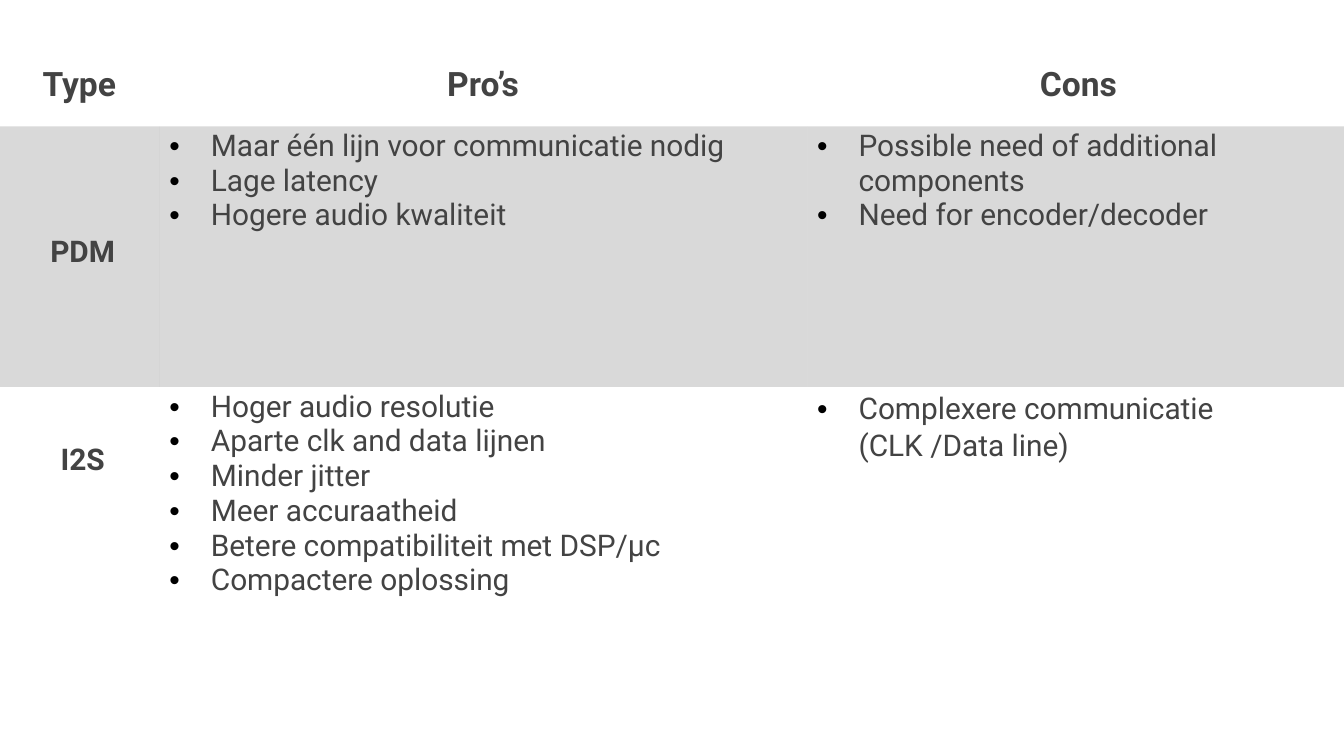
from copy import deepcopy

from lxml.etree import SubElement
from pptx import Presentation
from pptx.dml.color import RGBColor
from pptx.enum.text import MSO_ANCHOR, PP_ALIGN
from pptx.oxml.ns import qn
from pptx.util import Inches, Pt

COLORS = {"text": "434343", "bullet": "000000"}
FONT = "Roboto"
NO_GRID_STYLE = "{2D5ABB26-0587-4C30-8999-92F81FD0307C}"
COLUMN_WIDTHS = [1.19, 4.82, 4.04]
ROW_HEIGHTS = [0.57, 1.94, 1.71]
HEADERS = ["Type", "Pro’s", "Cons"]
TYPES = [
    {
        "name": "PDM",
        "name_top": 0.79,
        "pros": ["Maar één lijn voor communicatie nodig", "Lage latency",
                 "Hogere audio kwaliteit"],
        "cons": ["Possible need of additional components",
                 "Need for encoder/decoder"],
        "shaded": True,
        "loose_cons": False,
    },
    {
        "name": "I2S",
        "name_top": 0.4,
        "pros": ["Hoger audio resolutie", "Aparte clk and data lijnen",
                 "Minder jitter", "Meer accuraatheid",
                 "Betere compatibiliteit met DSP/µc", "Compactere oplossing"],
        "cons": ["Complexere communicatie \v(CLK /Data line)"],
        "shaded": False,
        "loose_cons": True,
    },
]


def add_bullet(p):
    pPr = p._p.get_or_add_pPr()
    pPr.set("marL", str(Inches(0.31)))
    pPr.set("indent", str(-Inches(0.31)))
    color = SubElement(pPr, qn("a:buClr"))
    SubElement(color, qn("a:srgbClr"), val=COLORS["bullet"])
    SubElement(pPr, qn("a:buFont"), typeface="Arial")
    SubElement(pPr, qn("a:buChar"), char="•")


def format_runs(p, size, bold):
    for r in p.runs:
        r.font.name = FONT
        r.font.size = Pt(size)
        r.font.bold = bold
        r.font.color.rgb = RGBColor.from_string(COLORS["text"])
    for line_break in p._p.findall(qn("a:br")):
        line_break.insert(0, deepcopy(p.runs[0]._r.rPr))


def fill_cell(cell, lines, size=16, bold=False, bullets=False, loose=False,
              left=0.07, top=0.02, anchor=MSO_ANCHOR.TOP, shaded=False):
    cell.margin_left, cell.margin_right = Inches(left), Inches(0.08)
    cell.margin_top, cell.margin_bottom = Inches(top), Inches(0.16)
    cell.vertical_anchor = anchor
    if shaded:
        cell.fill.solid()
        cell.fill.fore_color.rgb = RGBColor.from_string(COLORS["text"])
        color = cell._tc.tcPr.find(".//" + qn("a:srgbClr"))
        SubElement(color, qn("a:alpha"), val="20000")
    else:
        cell.fill.background()
    tf = cell.text_frame
    for i, line in enumerate(lines):
        p = tf.paragraphs[0] if i == 0 else tf.add_paragraph()
        p.text = line
        if bullets:
            add_bullet(p)
        else:
            p.alignment = PP_ALIGN.CENTER
        if loose:
            p.line_spacing = 1.07
            p.space_after = Pt(8)
        format_runs(p, size, bold)


def add_comparison(slide, left, top):
    frame = slide.shapes.add_table(
        len(ROW_HEIGHTS), len(COLUMN_WIDTHS), Inches(left), Inches(top),
        Inches(sum(COLUMN_WIDTHS)), Inches(sum(ROW_HEIGHTS)))
    table = frame.table
    table.first_row = table.horz_banding = False
    table._tbl.tblPr.find(qn("a:tableStyleId")).text = NO_GRID_STYLE
    for column, width in zip(table.columns, COLUMN_WIDTHS):
        column.width = Inches(width)
    for row, height in zip(table.rows, ROW_HEIGHTS):
        row.height = Inches(height)

    for col, header in enumerate(HEADERS):
        fill_cell(table.cell(0, col), [header], size=18, bold=True,
                  loose=True, anchor=MSO_ANCHOR.BOTTOM)
    for row, kind in enumerate(TYPES, start=1):
        shaded = kind["shaded"]
        fill_cell(table.cell(row, 0), [kind["name"]], bold=True, loose=True,
                  left=0.12, top=kind["name_top"], shaded=shaded)
        fill_cell(table.cell(row, 1), kind["pros"], bullets=True,
                  shaded=shaded)
        fill_cell(table.cell(row, 2), kind["cons"], bullets=True,
                  loose=kind["loose_cons"], shaded=shaded)


def main():
    prs = Presentation()
    prs.slide_width = Inches(10)
    prs.slide_height = prs.slide_width * 9 // 16
    slide = prs.slides.add_slide(prs.slide_layouts[6])
    add_comparison(slide, 0, 0.37)
    prs.save("out.pptx")


if __name__ == "__main__":
    main()
